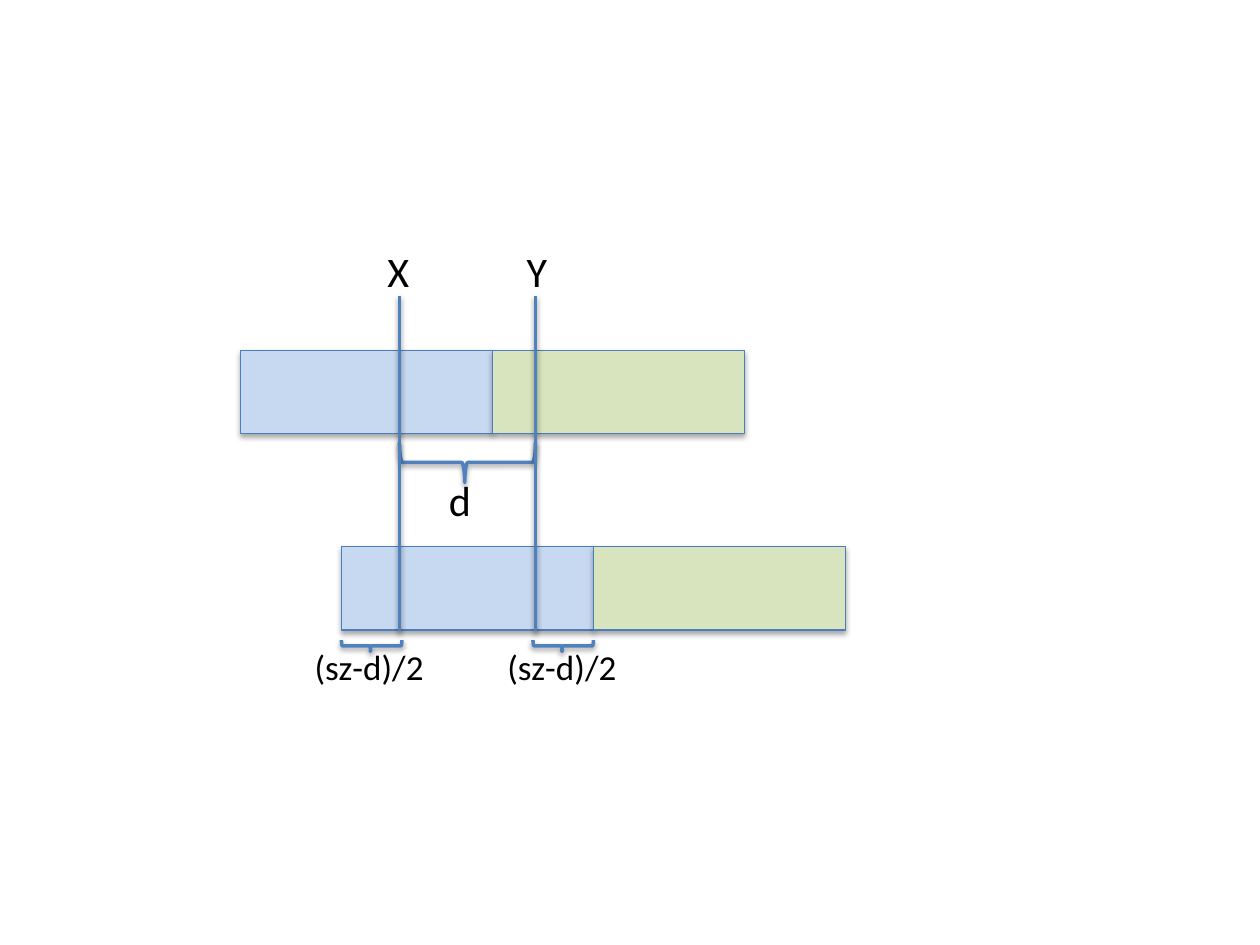
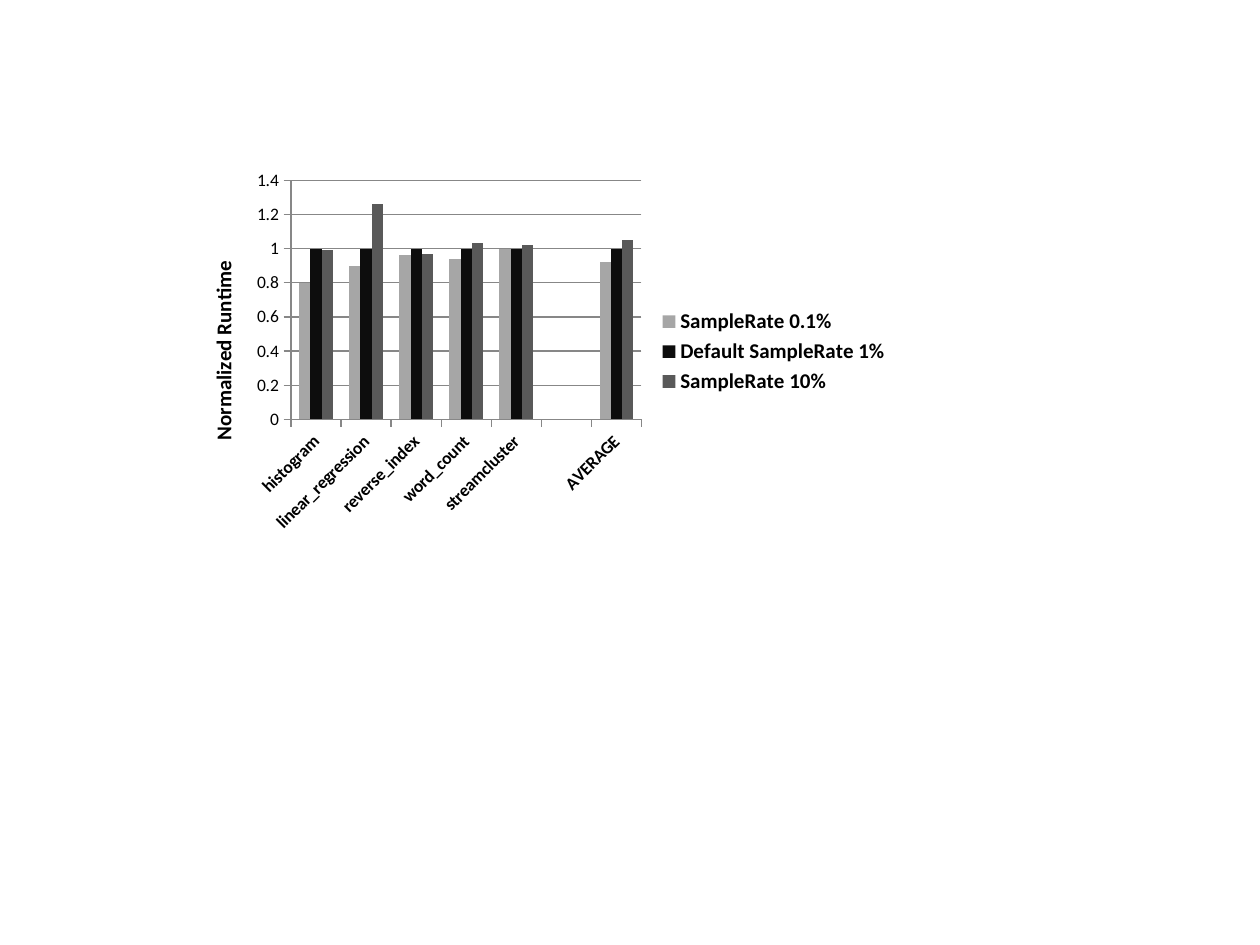
"""Build two slides: a diagram of overlapping windows and a chart of sample rate runtimes."""
from lxml import etree
from pptx import Presentation
from pptx.chart.data import CategoryChartData
from pptx.dml.color import RGBColor
from pptx.enum.chart import XL_CHART_TYPE, XL_LEGEND_POSITION, XL_TICK_MARK
from pptx.enum.shapes import MSO_CONNECTOR, MSO_SHAPE
from pptx.enum.text import PP_ALIGN
from pptx.oxml import parse_xml
from pptx.oxml.ns import nsdecls, qn
from pptx.util import Inches, Pt

RECTANGLE = MSO_SHAPE.RECTANGLE
BRACE = MSO_SHAPE.LEFT_BRACE
STRAIGHT = MSO_CONNECTOR.STRAIGHT
CENTER = PP_ALIGN.CENTER
COLUMNS = XL_CHART_TYPE.COLUMN_CLUSTERED
LEGEND_RIGHT = XL_LEGEND_POSITION.RIGHT
TICK_OUTSIDE = XL_TICK_MARK.OUTSIDE

FONT = "Calibri"
COLORS = {
    "text": "000000", "outline": "4B7EBC", "accent": "4F81BD",
    "blue": "C6D9F1", "green": "D7E4BD", "grid": "878787",
    "light": "A6A6A6", "black": "0D0D0D", "dark": "595959",
}

CELL_WIDTH, CELL_HEIGHT = 2.0, 0.66
CELL_FILLS = ["blue", "green"]
WINDOWS = [(1.91, 2.78), (2.71, 4.34)]
MARKERS = [3.17, 4.25]
MARKER_TOP, MARKER_BOTTOM = 2.35, 5.01
BRACES = [
    (3.17, 4.25, 3.51, 0.32),
    (2.71, 3.19, 5.08, 0.09),
    (4.23, 4.71, 5.08, 0.09),
]
LABELS = [
    ("X", 3.16, 1.95, 0.48, 0.4, 24),
    ("Y", 4.26, 1.95, 0.48, 0.4, 24),
    ("d", 3.65, 3.77, 0.41, 0.4, 24),
    ("(sz-d)/2", 2.93, 5.12, 1.26, 0.34, 20),
    ("(sz-d)/2", 4.46, 5.12, 1.26, 0.34, 20),
]

CHART_FRAME = (1.45, 1.29, 5.71, 3.0)
PLOT_PLACE = (2.31, 1.43, 2.78, 1.9)
AXIS_TITLE_PLACE = (1.63, 2.04)
AXIS_TITLE = "Normalized Runtime"
CATEGORIES = ["histogram", "linear_regression", "reverse_index", "word_count",
              "streamcluster", "", "AVERAGE"]
SERIES = [
    ("SampleRate 0.1%", "light", [0.8, 0.9, 0.96, 0.94, 1, None, 0.92]),
    ("Default SampleRate 1%", "black", [1, 1, 1, 1, 1, None, 1]),
    ("SampleRate 10%", "dark", [0.99, 1.26, 0.97, 1.03, 1.02, None, 1.05]),
]


def rgb(name):
    """Return the named colour."""
    return RGBColor.from_string(COLORS[name])


def inches(*lengths):
    """Convert lengths to slide units."""
    return [Inches(length) for length in lengths]


def style_line(line, color, width):
    """Colour a line and set its width in points."""
    line.color.rgb = rgb(color)
    line.width = Pt(width)


def style_font(font, size, bold=False):
    """Apply the shared typeface and text colour."""
    font.name, font.size, font.bold = FONT, Pt(size), bold
    font.color.rgb = rgb("text")


def add_shadow(shape, opacity, distance):
    """Give a shape or connector a soft shadow straight below it."""
    shape.element.spPr.append(parse_xml(
        f'<a:effectLst {nsdecls("a")}>'
        f'<a:outerShdw blurRad="{Pt(3.1)}" dist="{Pt(distance)}" dir="5400000" rotWithShape="0">'
        f'<a:srgbClr val="{COLORS["text"]}"><a:alpha val="{opacity * 1000}"/></a:srgbClr>'
        '</a:outerShdw></a:effectLst>'))


def add_window(slide, left, top):
    """Draw one row of adjoining coloured cells."""
    for column, fill in enumerate(CELL_FILLS):
        cell = slide.shapes.add_shape(
            RECTANGLE, *inches(left + column * CELL_WIDTH, top, CELL_WIDTH, CELL_HEIGHT))
        cell.fill.solid()
        cell.fill.fore_color.rgb = rgb(fill)
        style_line(cell.line, "outline", 0.75)
        add_shadow(cell, 35, 1.8)


def add_label(slide, text, center, top, width, height, size):
    """Write a label centred on a horizontal position."""
    box = slide.shapes.add_textbox(*inches(center - width / 2, top, width, height))
    frame = box.text_frame
    frame.word_wrap = True
    frame.margin_top = frame.margin_bottom = 0
    frame.text = text
    paragraph = frame.paragraphs[0]
    paragraph.alignment = CENTER
    style_font(paragraph.runs[0].font, size)


def add_brace(slide, left, right, top, depth):
    """Draw a brace opening upwards between two horizontal positions."""
    span = right - left
    brace = slide.shapes.add_shape(BRACE, *inches(
        (left + right - depth) / 2, top + (depth - span) / 2, depth, span))
    brace.rotation = 270
    brace.adjustments[0], brace.adjustments[1] = 0.08, 0.48
    brace.fill.background()
    style_line(brace.line, "accent", 2)
    add_shadow(brace, 38, 1.6)


def add_marker(slide, position):
    """Draw a vertical line through both windows."""
    marker = slide.shapes.add_connector(
        STRAIGHT, *inches(position, MARKER_TOP, position, MARKER_BOTTOM))
    style_line(marker.line, "accent", 2)
    add_shadow(marker, 38, 1.6)


def build_diagram(slide):
    """Draw the windows, distances and markers."""
    for window in WINDOWS:
        add_window(slide, *window)
    for brace in BRACES:
        add_brace(slide, *brace)
    for label in LABELS:
        add_label(slide, *label)
    for position in MARKERS:
        add_marker(slide, position)


def set_layout(parent, index, place, inner=False):
    """Place a chart part, given in slide inches, by shares of the chart's size."""
    for previous in parent.findall(qn("c:layout")):
        parent.remove(previous)
    left, top, width, height = CHART_FRAME
    starts, scales = (left, top, 0, 0), (width, height, width, height)
    settings = {"layoutTarget": "inner"} if inner else {}
    settings.update(xMode="edge", yMode="edge")
    for tag, length, start, scale in zip("xywh", place, starts, scales):
        settings[tag] = (length - start) / scale
    layout = parse_xml(f'<c:layout {nsdecls("c")}><c:manualLayout/></c:layout>')
    for tag, value in settings.items():
        etree.SubElement(layout[0], qn(f"c:{tag}")).set("val", str(value))
    parent.insert(index, layout)


def build_chart(slide):
    """Add the clustered column chart."""
    data = CategoryChartData()
    data.categories = CATEGORIES
    for name, _, values in SERIES:
        data.add_series(name, values)
    chart = slide.shapes.add_chart(COLUMNS, *inches(*CHART_FRAME), data).chart
    chart.has_title = False
    style_font(chart.font, 10)

    plot = chart.plots[0]
    plot.vary_by_categories = False
    plot.gap_width, plot.overlap = 150, 0
    for series, (_, color, _) in zip(plot.series, SERIES):
        series.format.fill.solid()
        series.format.fill.fore_color.rgb = rgb(color)

    chart.has_legend = True
    chart.legend.position = LEGEND_RIGHT
    chart.legend.include_in_layout = False
    style_font(chart.legend.font, 12, bold=True)

    category_axis, value_axis = chart.category_axis, chart.value_axis
    for axis in (category_axis, value_axis):
        axis.major_tick_mark = TICK_OUTSIDE
        style_line(axis.format.line, "grid", 0.75)
    style_font(category_axis.tick_labels.font, 10, bold=True)
    value_axis.has_major_gridlines = True
    style_line(value_axis.major_gridlines.format.line, "grid", 0.75)

    title_frame = value_axis.axis_title.text_frame
    title_frame.text = AXIS_TITLE
    style_font(title_frame.paragraphs[0].runs[0].font, 12, bold=True)

    root = chart.element
    for query, angle in (("//c:catAx/c:txPr/a:bodyPr", -45), ("//c:valAx/c:title//a:bodyPr", -90)):
        body = root.xpath(query)[0]
        body.set("rot", str(angle * 60000))
        body.set("vert", "horz")
    set_layout(root.xpath("//c:plotArea")[0], 0, PLOT_PLACE, inner=True)
    set_layout(root.xpath("//c:valAx/c:title")[0], 1, AXIS_TITLE_PLACE)


def main():
    """Build and save the presentation."""
    presentation = Presentation()
    presentation.slide_width, presentation.slide_height = inches(10, 7.5)
    blank_layout = presentation.slide_layouts[6]
    for build in (build_diagram, build_chart):
        build(presentation.slides.add_slide(blank_layout))
    presentation.save("out.pptx")


if __name__ == "__main__":
    main()
